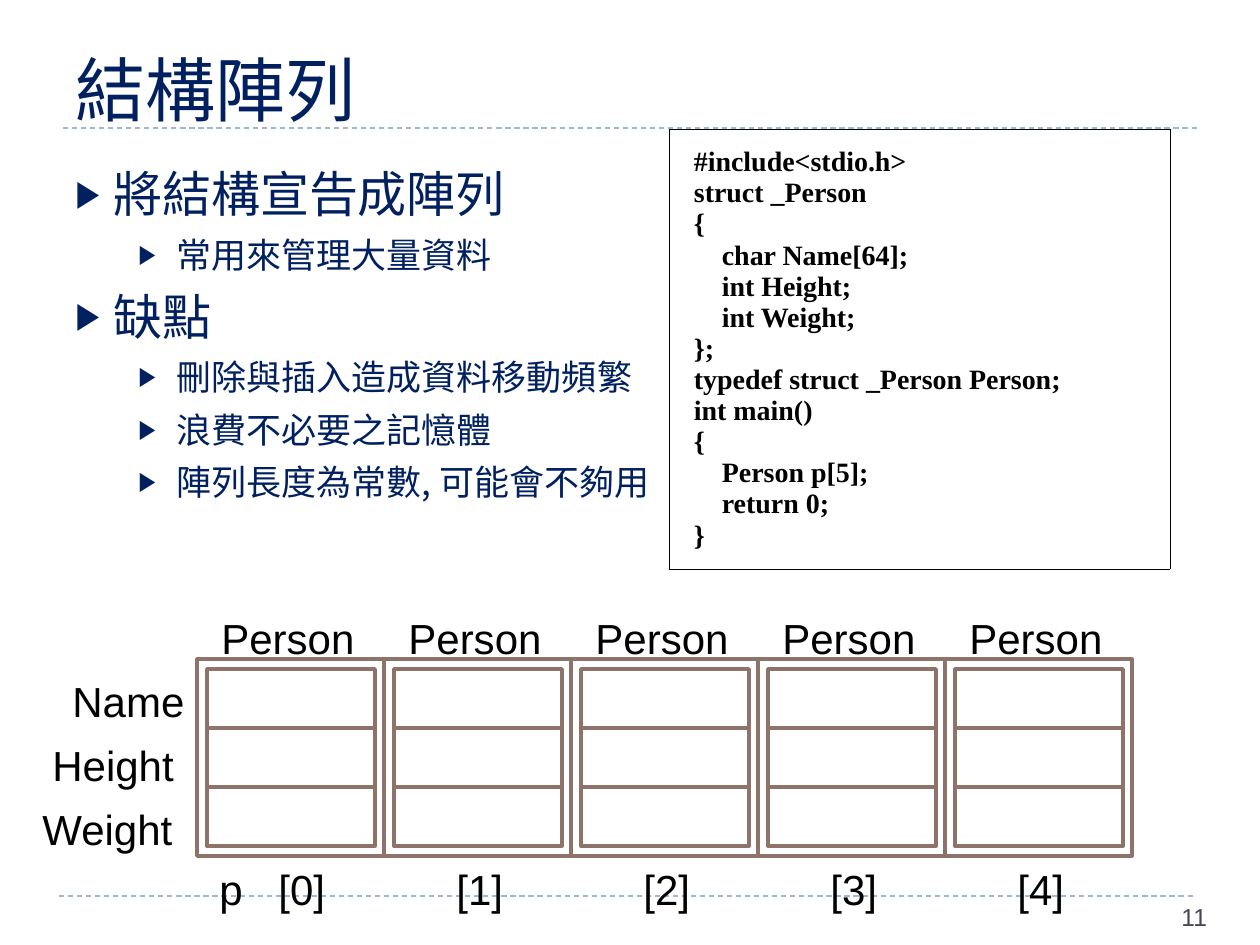
import pptx
import pptx.dml.color
import pptx.enum.dml
import pptx.enum.shapes
import pptx.enum.text
import pptx.oxml
import pptx.oxml.ns
import pptx.util

# Content
TITLE = "結構陣列"
POINTS = [
    (0, "將結構宣告成陣列"),
    (1, "常用來管理大量資料"),
    (0, "缺點"),
    (1, "刪除與插入造成資料移動頻繁"),
    (1, "浪費不必要之記憶體"),
    (1, "陣列長度為常數, 可能會不夠用"),
]
CODE = [
    "#include<stdio.h>",
    "struct _Person",
    "{",
    "    char Name[64];",
    "    int Height;",
    "    int Weight;",
    "};",
    "typedef struct _Person Person;",
    "int main()",
    "{",
    "    Person p[5];",
    "    return 0;",
    "}",
]
FIELDS = [("Name", 60, 669, 138), ("Height", 40, 733, 150), ("Weight", 30, 797, 158)]
ARRAY_NAME, ELEMENT_TYPE, ELEMENT_COUNT = "p", "Person", 5
PAGE = "11"

# Style
NAVY, BLACK, WHITE = "002060", "000000", "FFFFFF"
BROWN, RULE_BLUE, GREY = "8E736A", "9FB8CD", "464653"
LEVELS = [  # text size, line height, left margin in px
    (28, 34, 38),
    (20, 24, 101),
]
HANGING = 38

# Array geometry, px
ARRAY_LEFT, ARRAY_TOP, ELEMENT_W, ELEMENT_H = 197, 659, 187, 197
FIELD_INSET, FIELD_W, FIELD_H = 10, 168, 59
LABEL_H, INDEX_TOP = 63, 857


def px(n):
    return pptx.util.Emu(round(n * 914400 / 126))


def rgb(value):
    return pptx.dml.color.RGBColor.from_string(value)


def add_xml(parent, xml):
    ns = pptx.oxml.ns.nsdecls("a")
    tag, rest = xml.split(" ", 1)
    parent.append(pptx.oxml.parse_xml(f"{tag} {ns} {rest}"))


def add_run(paragraph, text, size, font, color, bold=False):
    run = paragraph.add_run()
    run.text = text
    run.font.size = pptx.util.Pt(size)
    run.font.name = font
    run.font.bold = bold
    run.font.color.rgb = rgb(color)
    add_xml(run.font._element, f'<a:ea typeface="{font}"/>')


def add_box(left, top, width, height, wrap=True):
    frame = slide.shapes.add_textbox(px(left), px(top), px(width), px(height)).text_frame
    frame.word_wrap = wrap
    return frame


def add_label(text, left, top, width):
    frame = add_box(left, top, width, LABEL_H, wrap=False)
    frame.auto_size = pptx.enum.text.MSO_AUTO_SIZE.SHAPE_TO_FIT_TEXT
    add_run(frame.paragraphs[0], text, 24, "Arial", BLACK)


def add_rect(left, top, width, height):
    rect = slide.shapes.add_shape(
        pptx.enum.shapes.MSO_SHAPE.RECTANGLE, px(left), px(top), px(width), px(height))
    rect.shadow.inherit = False
    rect.fill.solid()
    rect.fill.fore_color.rgb = rgb(WHITE)
    rect.line.color.rgb = rgb(BROWN)
    rect.line.width = pptx.util.Pt(2)


def next_paragraph(frame, index):
    return frame.paragraphs[0] if index == 0 else frame.add_paragraph()


deck = pptx.Presentation()
deck.slide_width, deck.slide_height = px(1260), px(945)
slide = deck.slides.add_slide(deck.slide_layouts[6])

# Dashed rules
for left, top in [(59, 896), (63, 128)]:
    rule = slide.shapes.add_connector(
        pptx.enum.shapes.MSO_CONNECTOR.STRAIGHT, px(left), px(top), px(left + 1134), px(top))
    rule.line.color.rgb = rgb(RULE_BLUE)
    rule.line.width = pptx.util.Pt(0.75)
    rule.line.dash_style = pptx.enum.dml.MSO_LINE.DASH
    add_xml(rule._element.spPr, "<a:effectLst />")

# Title
title = add_box(63, 44, 1134, 87)
title.vertical_anchor = pptx.enum.text.MSO_ANCHOR.BOTTOM
title.margin_top = title.margin_bottom = 0
title.paragraphs[0].line_spacing = pptx.util.Pt(48)
add_run(title.paragraphs[0], TITLE, 40, "Noto Sans CJK JP", NAVY)

# Bullet points
points = add_box(63, 157, 1134, 690)
for i, (level, text) in enumerate(POINTS):
    size, line_height, margin = LEVELS[level]
    point = next_paragraph(points, i)
    point.level = level
    properties = point._p.get_or_add_pPr()
    properties.set("marL", str(px(margin)))
    properties.set("indent", str(px(-HANGING)))
    add_xml(properties, f'<a:buClr ><a:srgbClr val="{NAVY}"/></a:buClr>')
    add_xml(properties, '<a:buSzPct val="76000"/>')
    add_xml(properties, '<a:buFont typeface="Arial"/>')
    add_xml(properties, '<a:buChar char="▶"/>')
    point.line_spacing = pptx.util.Pt(line_height)
    if i:
        point.space_before = pptx.util.Pt(6)
    add_run(point, text, size, "Noto Sans CJK SC", NAVY)

# Code listing in a one-cell table
listing = slide.shapes.add_table(1, 1, px(669), px(129), px(501), px(440)).table
listing.first_row = listing.horz_banding = False
cell = listing.cell(0, 0)
cell.vertical_anchor = pptx.enum.text.MSO_ANCHOR.MIDDLE
cell.margin_left, cell.margin_right = px(25), px(1)
cell.margin_top = cell.margin_bottom = px(1)
for i, code_line in enumerate(CODE):
    add_run(next_paragraph(cell.text_frame, i), code_line, 16, "Times New Roman", BLACK, bold=True)
cell_properties = cell._tc.get_or_add_tcPr()
for side in ("lnL", "lnR", "lnT", "lnB"):
    add_xml(cell_properties, f'<a:{side} w="{pptx.util.Pt(0.45)}"><a:solidFill>'
                             f'<a:srgbClr val="{BLACK}"/></a:solidFill></a:{side}>')
cell.fill.solid()
cell.fill.fore_color.rgb = rgb(WHITE)

# Array of structures
for i in range(ELEMENT_COUNT):
    left = ARRAY_LEFT + i * ELEMENT_W
    add_rect(left, ARRAY_TOP, ELEMENT_W, ELEMENT_H)
    for row in range(len(FIELDS)):
        add_rect(left + FIELD_INSET, ARRAY_TOP + FIELD_INSET + row * FIELD_H, FIELD_W, FIELD_H)
    add_label(ELEMENT_TYPE, left + 12, 606, 158)
    # The first index moves right to make room for the array name
    add_label(f"[{i}]", left + (60 if i else 69), INDEX_TOP, 72)
add_label(ARRAY_NAME, 207, INDEX_TOP, 60)
for field in FIELDS:
    add_label(*field)

# Page number
page = add_box(1169, 896, 81, 50)
add_run(page.paragraphs[0], PAGE, 14, "Arial", GREY)

deck.save("out.pptx")
